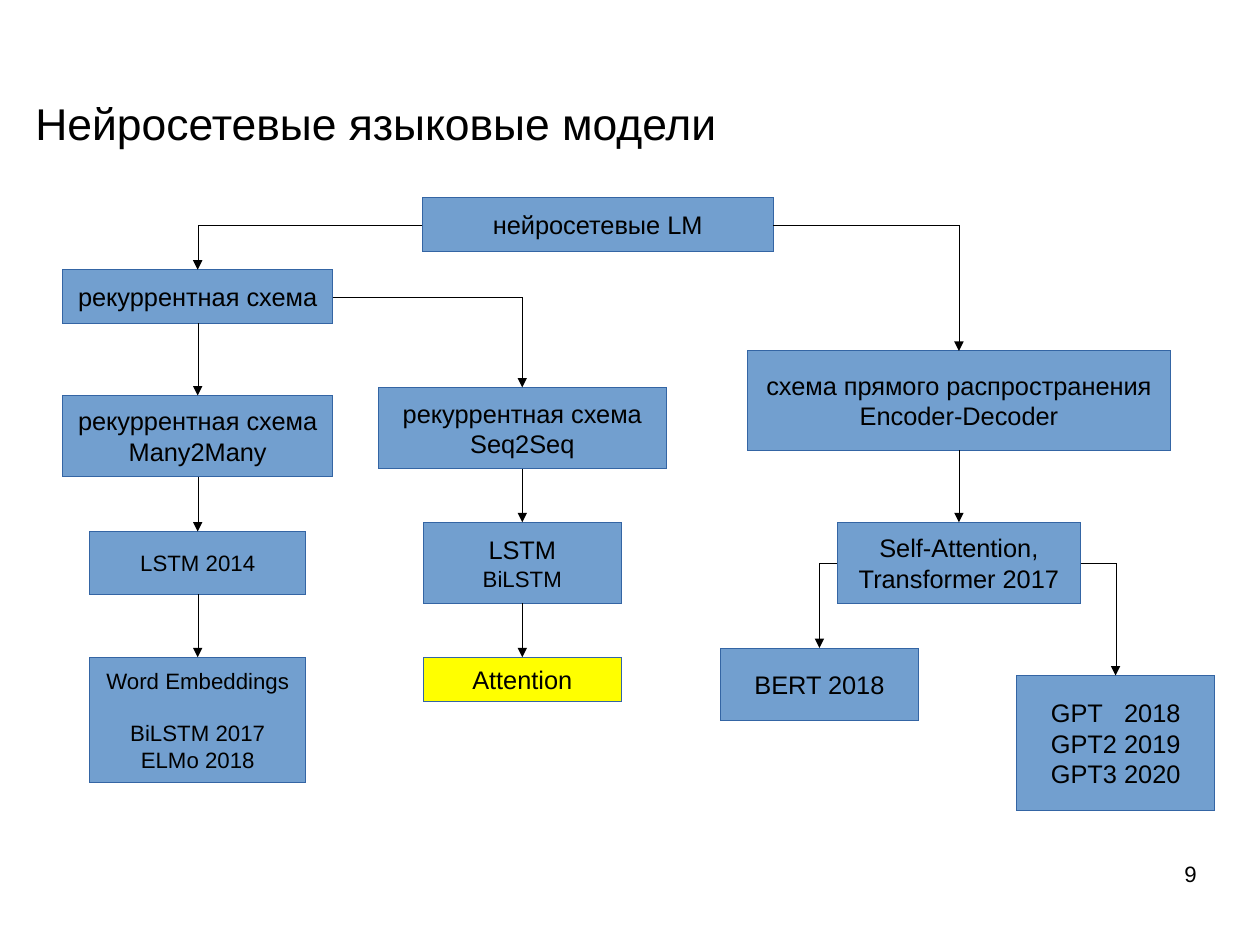
from dataclasses import dataclass

import lxml.etree
import pptx
import pptx.dml.color
import pptx.enum.shapes
import pptx.enum.text
import pptx.oxml.ns
import pptx.util

Inches = pptx.util.Inches
Pt = pptx.util.Pt
ALIGN = pptx.enum.text.PP_ALIGN
ANCHOR = pptx.enum.text.MSO_ANCHOR
CONNECTOR = pptx.enum.shapes.MSO_CONNECTOR
qn = pptx.oxml.ns.qn

COLORS = {"text": "000000", "blue": "729FCF", "edge": "3465A4", "yellow": "FFFF00"}
TOP, LEFT, BOTTOM, RIGHT = range(4)
CM_PER_INCH = 2.54


@dataclass
class Line:
    text: str
    size: int = 16
    before: int = 0


@dataclass
class Node:
    center: float
    top: float
    width: float
    height: float
    lines: list[Line]
    fill: str = "blue"
    tab: float = 0  # tab stop for left-aligned columns
    inset: float = 0.1


@dataclass
class Link:
    start: str
    start_side: int
    end: str


# Diagram content
NODES = {
    "models": Node(5.23, 1.73, 3.07, 0.47, [Line("нейросетевые LM")]),
    "recurrent": Node(1.73, 2.36, 2.36, 0.47, [Line("рекуррентная схема")]),
    "feedforward": Node(8.39, 3.07, 3.7, 0.87,
                        [Line("схема прямого распространения"), Line("Encoder-Decoder")]),
    "transformer": Node(8.39, 4.57, 2.13, 0.71,
                        [Line("Self-Attention,"), Line("Transformer 2017")]),
    "bert": Node(7.17, 5.67, 1.73, 0.63, [Line("BERT 2018")]),
    "gpt": Node(9.76, 5.91, 1.73, 1.18,
                [Line("GPT\t2018"), Line("GPT2\t2019"), Line("GPT3\t2020")],
                tab=0.64, inset=0.3),
    "many": Node(1.73, 3.46, 2.36, 0.71, [Line("рекуррентная схема"), Line("Many2Many")]),
    "lstm": Node(1.73, 4.65, 1.89, 0.55, [Line("LSTM 2014", 14)]),
    "embeddings": Node(1.73, 5.75, 1.89, 1.1,
                       [Line("Word Embeddings", 14), Line("BiLSTM 2017", 14, 16),
                        Line("ELMo 2018", 14)]),
    "seq": Node(4.57, 3.39, 2.52, 0.71, [Line("рекуррентная схема"), Line("Seq2Seq")]),
    "bilstm": Node(4.57, 4.57, 1.73, 0.71, [Line("LSTM"), Line("BiLSTM", 14)]),
    "attention": Node(4.57, 5.75, 1.73, 0.39, [Line("Attention")], "yellow"),
}

LINKS = [
    Link("models", LEFT, "recurrent"),
    Link("models", RIGHT, "feedforward"),
    Link("recurrent", BOTTOM, "many"),
    Link("recurrent", RIGHT, "seq"),
    Link("many", BOTTOM, "lstm"),
    Link("lstm", BOTTOM, "embeddings"),
    Link("seq", BOTTOM, "bilstm"),
    Link("bilstm", BOTTOM, "attention"),
    Link("feedforward", BOTTOM, "transformer"),
    Link("transformer", LEFT, "bert"),
    Link("transformer", RIGHT, "gpt"),
]


def rgb(name: str) -> pptx.dml.color.RGBColor:
    return pptx.dml.color.RGBColor.from_string(COLORS[name])


def apply(target, values: dict) -> None:
    for name, value in values.items():
        setattr(target, name, value)


def draw_hairline(line, color: str):
    line.color.rgb = rgb(color)
    outline = line._get_or_add_ln()
    outline.set("w", "0")  # line.width = 0 would fall back to the theme width
    return outline


def write(frame, lines: list[Line], align, tab: float = 0) -> None:
    for index, line in enumerate(lines):
        para = frame.paragraphs[0] if index == 0 else frame.add_paragraph()
        para.alignment = align
        if line.before:
            para.space_before = Pt(line.before)
        if tab:
            stops = lxml.etree.SubElement(para._p.get_or_add_pPr(), qn("a:tabLst"))
            lxml.etree.SubElement(stops, qn("a:tab"), pos=str(Inches(tab)), algn="l")
        span = para.add_run()
        span.text = line.text
        apply(span.font, {"name": "Arial", "size": Pt(line.size)})
        span.font.color.rgb = rgb("text")


def add_label(page, place: tuple, line: Line, align, anchor) -> None:
    frame = page.shapes.add_textbox(*map(Inches, place)).text_frame
    apply(frame, {"word_wrap": True, "vertical_anchor": anchor, "margin_left": 0,
                  "margin_right": 0, "margin_top": 0, "margin_bottom": 0})
    write(frame, [line], align)


def add_node(page, node: Node):
    place = (node.center - node.width / 2, node.top, node.width, node.height)
    box = page.shapes.add_shape(pptx.enum.shapes.MSO_SHAPE.RECTANGLE, *map(Inches, place))
    box.shadow.inherit = False
    box.fill.solid()
    box.fill.fore_color.rgb = rgb(node.fill)
    draw_hairline(box.line, "edge")
    apply(box.text_frame, {"word_wrap": bool(node.tab), "vertical_anchor": ANCHOR.MIDDLE,
                           "margin_left": Inches(node.inset), "margin_right": Inches(0.1),
                           "margin_top": Inches(0.05), "margin_bottom": Inches(0.05)})
    write(box.text_frame, node.lines, ALIGN.LEFT if node.tab else ALIGN.CENTER, node.tab)
    return box


def add_link(page, link: Link, boxes: dict) -> None:
    straight = link.start_side == BOTTOM
    kind = CONNECTOR.STRAIGHT if straight else CONNECTOR.ELBOW
    arrow = page.shapes.add_connector(kind, 0, 0, 0, 0)
    arrow.begin_connect(boxes[link.start], link.start_side)
    arrow.end_connect(boxes[link.end], TOP)
    properties = arrow._element.spPr
    if not straight:  # a single corner: across, then down
        properties.find(qn("a:prstGeom")).set("prst", "bentConnector2")
    outline = draw_hairline(arrow.line, "text")
    lxml.etree.SubElement(outline, qn("a:tailEnd"), type="triangle")
    lxml.etree.SubElement(properties, qn("a:effectLst"))


def main() -> None:
    deck = pptx.Presentation()
    apply(deck, {"slide_width": Inches(28 / CM_PER_INCH),
                 "slide_height": Inches(21 / CM_PER_INCH)})
    page = deck.slides.add_slide(deck.slide_layouts[6])

    # Title and page number
    add_label(page, (0.31, 0.81, 7.95, 0.53), Line("Нейросетевые языковые модели", 28),
              ALIGN.LEFT, ANCHOR.MIDDLE)
    add_label(page, (7.9, 7.53, 2.57, 0.57), Line("9", 14), ALIGN.RIGHT, ANCHOR.TOP)

    # Tree of models
    boxes = {name: add_node(page, node) for name, node in NODES.items()}
    for link in LINKS:
        add_link(page, link, boxes)

    deck.save("out.pptx")


if __name__ == "__main__":
    main()
